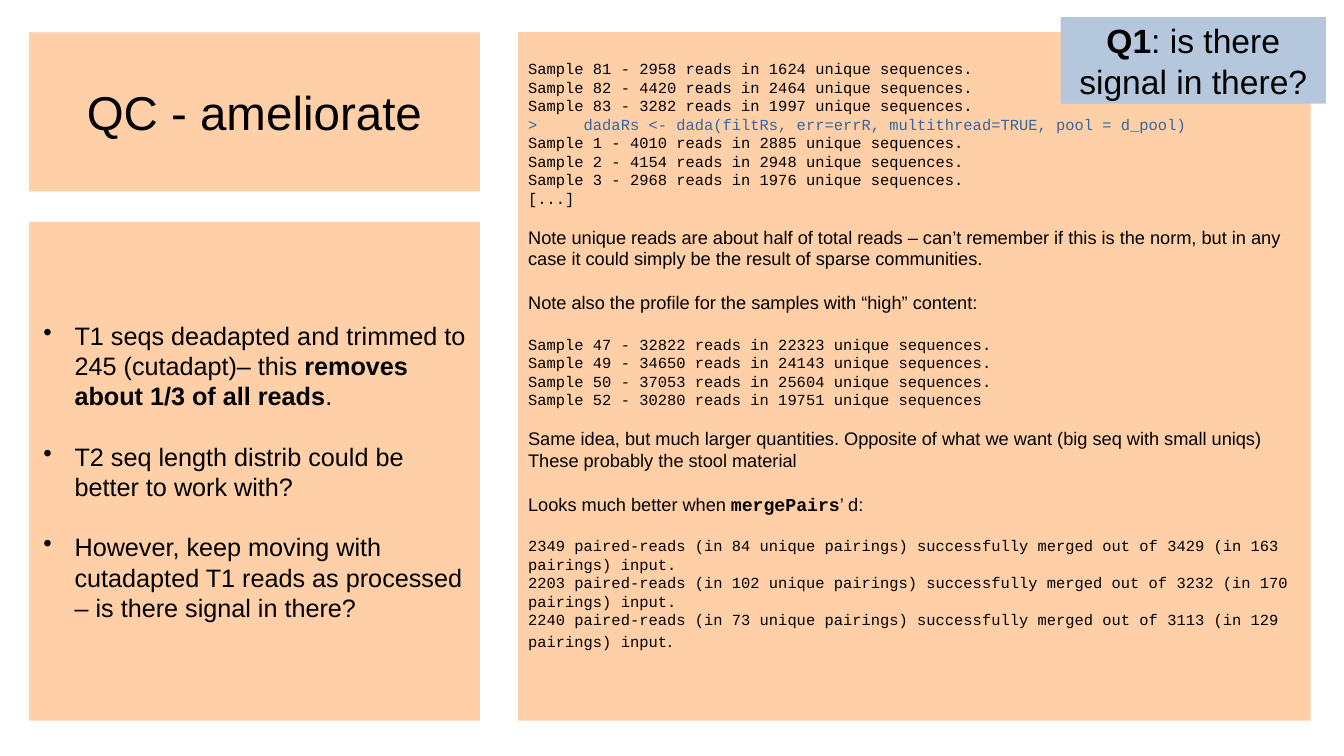
from lxml import etree
from pptx import Presentation
from pptx import util as u
from pptx.dml.color import RGBColor
from pptx.enum import shapes, text
from pptx.oxml.ns import qn

COLORS = {"panel": "FFCFA7", "question": "B4C7DC", "text": "000000", "command": "3465A4"}
SANS, MONO = "Arial", "Courier New"


def add_box(left, top, width, height, color, anchor=text.MSO_ANCHOR.MIDDLE, insets=(0.14, 0.08, 0.14, 0.08)):
    """Add a plain filled rectangle and return its text frame."""
    shape = slide.shapes.add_shape(shapes.MSO_SHAPE.RECTANGLE, *map(u.Inches, (left, top, width, height)))
    shape.shadow.inherit = False
    shape.fill.solid()
    shape.fill.fore_color.rgb = RGBColor.from_string(COLORS[color])
    shape.line.fill.background()
    frame = shape.text_frame
    frame.word_wrap = True
    frame.vertical_anchor = anchor
    frame.margin_left, frame.margin_top, frame.margin_right, frame.margin_bottom = map(u.Inches, insets)
    return frame


def add_text(frame, *runs, size=13, font=SANS, color="text", align=text.PP_ALIGN.LEFT, before=0, bullet=False):
    """Add a paragraph; a run is a string or a (string, overrides) pair."""
    paragraph = frame.paragraphs[0]
    if paragraph.runs:
        paragraph = frame.add_paragraph()
    paragraph.alignment = align
    paragraph.space_before = u.Pt(before)
    if bullet:
        properties = paragraph._p.get_or_add_pPr()
        properties.set("marL", str(u.Inches(0.31)))
        properties.set("indent", str(-u.Inches(0.31)))
        etree.SubElement(properties, qn("a:buChar")).set("char", "•")
    for item in runs:
        words, changes = (item, {}) if isinstance(item, str) else item
        run = paragraph.add_run()
        run.text = words
        run.font.size = u.Pt(changes.get("size", size))
        run.font.name = changes.get("font", font)
        run.font.bold = changes.get("bold", False)
        run.font.color.rgb = RGBColor.from_string(COLORS[color])


presentation = Presentation()
presentation.slide_width, presentation.slide_height = u.Inches(13.33), u.Inches(7.5)
slide = presentation.slides.add_slide(presentation.slide_layouts[6])

# Left column: findings and title
findings = add_box(0.29, 2.2, 4.47, 4.95, "panel")
bullets = [
    ["T1 seqs deadapted and trimmed to 245 (cutadapt)– this ",
     ("removes about 1/3 of all reads", {"bold": True}), "."],
    ["T2 seq length distrib could be better to work with?"],
    ["However, keep moving with cutadapted T1 reads as processed – is there signal in there?"],
]
for index, runs in enumerate(bullets):
    add_text(findings, *runs, size=18, bullet=True, before=21.6 if index else 0)

title = add_box(0.29, 0.32, 4.47, 1.58, "panel")
add_text(title, "QC - ameliorate", size=33.9, align=text.PP_ALIGN.CENTER)

# Right column: console output with remarks
console = add_box(5.14, 0.32, 7.86, 6.83, "panel", text.MSO_ANCHOR.TOP, (0.1, 0.27, 0.1, 0.05))
SMALL_GAP, GAP = 13.2, 15.5
READS = "Sample {} - {} reads in {} unique sequences"
MERGED = "{} paired-reads (in {} unique pairings) successfully merged out of {} (in {} pairings) input"

for sample in [(81, 2958, 1624), (82, 4420, 2464), (83, 3282, 1997)]:
    add_text(console, READS.format(*sample) + ".", size=11, font=MONO)
add_text(console, ">     dadaRs <- dada(filtRs, err=errR, multithread=TRUE, pool = d_pool)",
         size=11, font=MONO, color="command")
for sample in [(1, 4010, 2885), (2, 4154, 2948), (3, 2968, 1976)]:
    add_text(console, READS.format(*sample) + ".", size=11, font=MONO)
add_text(console, "[...]", size=11, font=MONO)

add_text(console, "Note unique reads are about half of total reads – can’t remember if this is the norm, "
         "but in any case it could simply be the result of sparse communities.", before=SMALL_GAP)
add_text(console, "Note also the profile for the samples with “high” content:", before=GAP)

high_samples = [(47, 32822, 22323), (49, 34650, 24143), (50, 37053, 25604), (52, 30280, 19751)]
for index, sample in enumerate(high_samples):
    end = "" if sample == high_samples[-1] else "."
    add_text(console, READS.format(*sample) + end, size=11, font=MONO, before=0 if index else GAP)

add_text(console, "Same idea, but much larger quantities. Opposite of what we want "
         "(big seq with small uniqs) These probably the stool material", before=SMALL_GAP)
add_text(console, "Looks much better when ", ("mergePairs", {"font": MONO, "bold": True}), "’ d:", before=GAP)

merges = [(2349, 84, 3429, 163), (2203, 102, 3232, 170), (2240, 73, 3113, 129)]
for index, merge in enumerate(merges):
    stop = (".", {"size": 13, "font": SANS}) if merge == merges[-1] else "."
    add_text(console, MERGED.format(*merge), stop, size=11, font=MONO, before=0 if index else GAP)

# Question tag over the corner
question = add_box(10.52, 0.17, 2.63, 0.86, "question")
add_text(question, ("Q1", {"bold": True}), ": is there signal in there?", size=24, align=text.PP_ALIGN.CENTER)

presentation.save("out.pptx")
